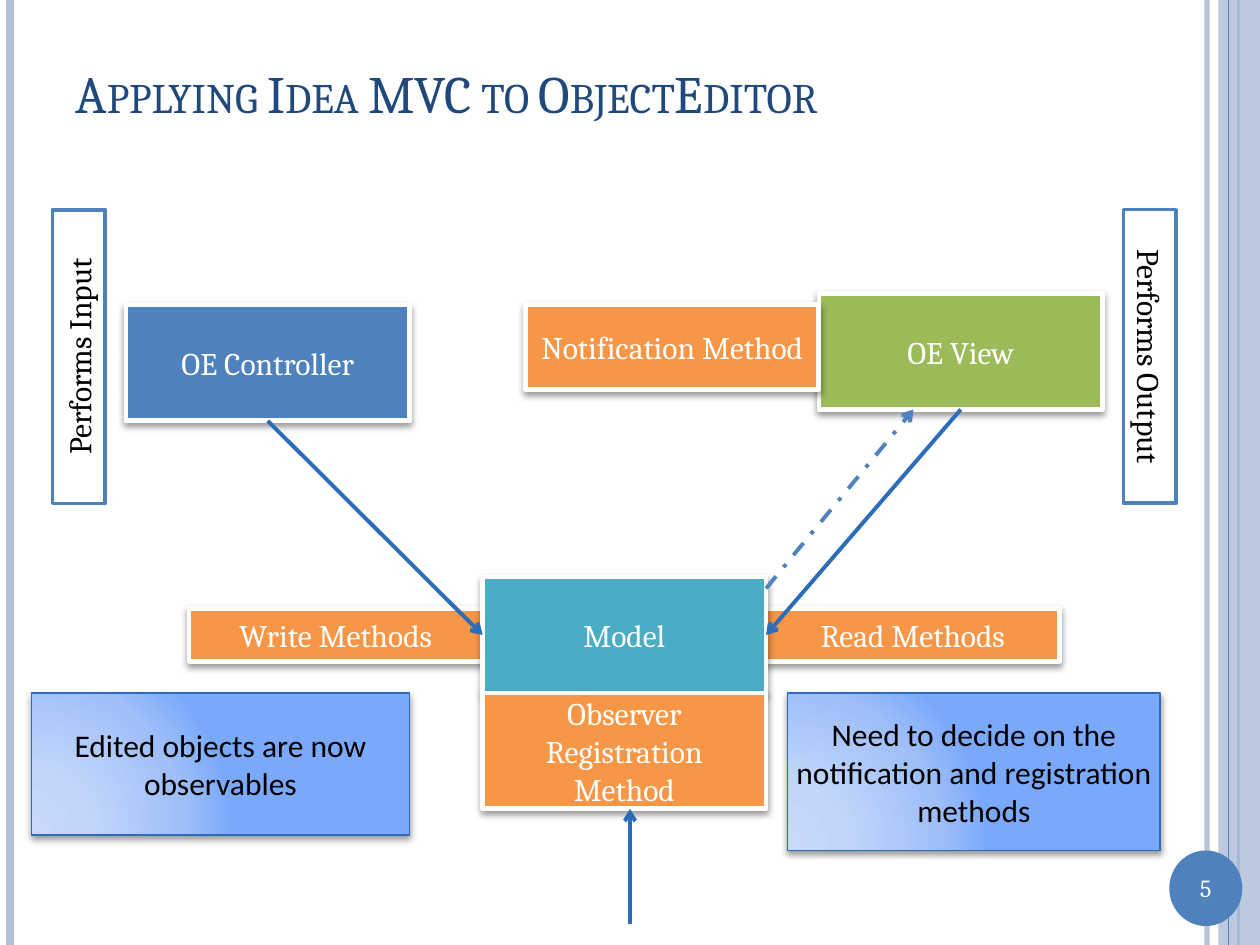
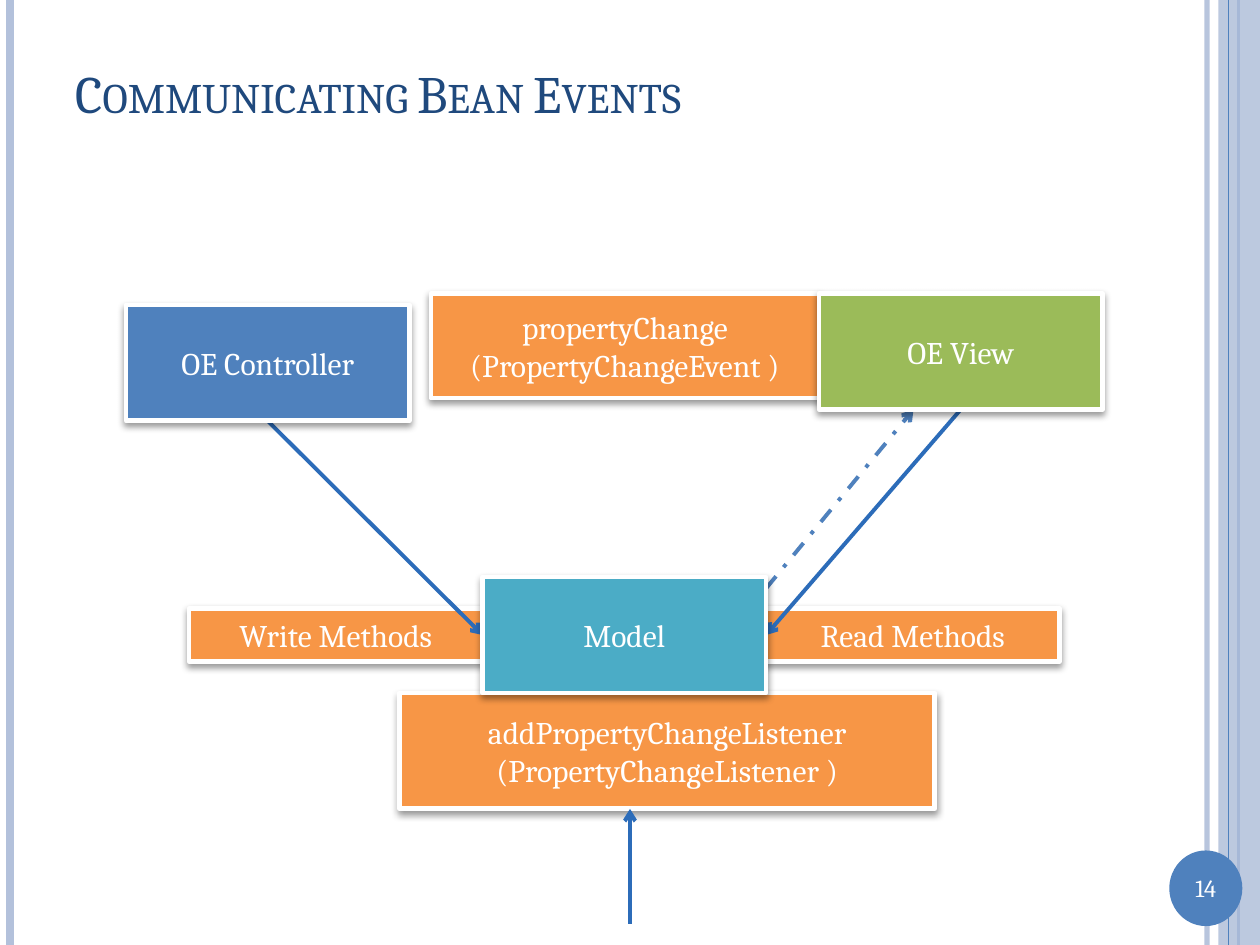
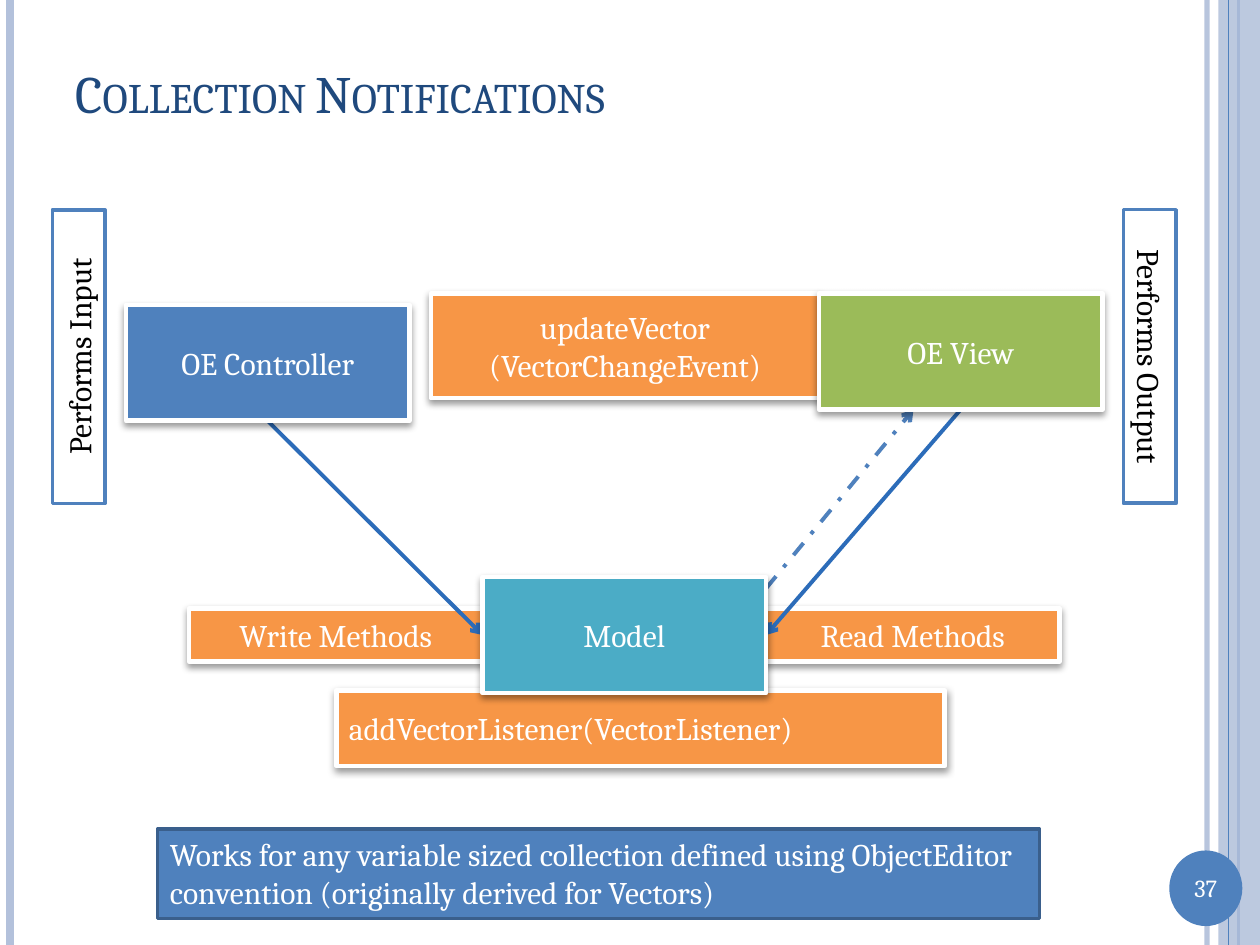
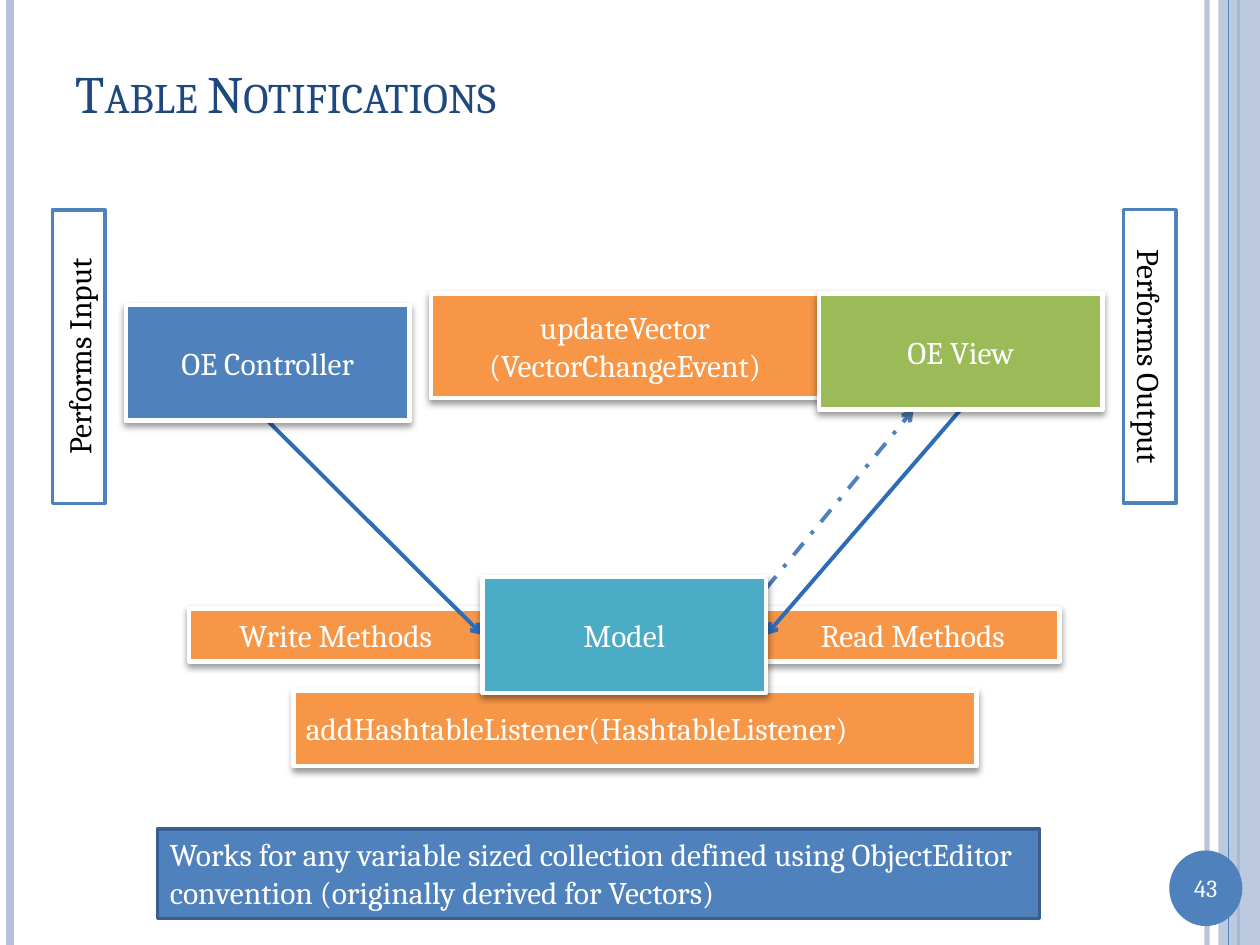
import dataclasses

import lxml.etree
import pptx
import pptx.dml.color
import pptx.enum.dml
import pptx.enum.shapes
import pptx.enum.text
import pptx.oxml.ns
import pptx.util

Inches = pptx.util.Inches
Pt = pptx.util.Pt
qn = pptx.oxml.ns.qn
MSO_SHAPE = pptx.enum.shapes.MSO_SHAPE
ALIGN = pptx.enum.text.PP_ALIGN
ANCHOR = pptx.enum.text.MSO_ANCHOR
AUTO_SIZE = pptx.enum.text.MSO_AUTO_SIZE
DASH_DOT = pptx.enum.dml.MSO_LINE.DASH_DOT
TOP, LEFT, BOTTOM, RIGHT = range(4)


@dataclasses.dataclass(frozen=True)
class Theme:
    white: str = "FFFFFF"
    black: str = "000000"
    title: str = "1F497D"
    blue: str = "4F81BD"
    blue_edge: str = "3A5F8C"
    arrow: str = "2C6CB9"
    band: str = "B3C1DB"
    green: str = "9BBB59"
    teal: str = "4BACC6"
    orange: str = "F79646"
    note_stops: tuple = ((0, "C7D8FB"), (30, "C1D5FA"), (75, "9FBFF9"), (100, "7AA9FB"))
    font: str = "Cambria"
    note_font: str = "Calibri"
    title_size: int = 30
    body_size: int = 18
    number_size: int = 14


def rgb(color):
    return pptx.dml.color.RGBColor.from_string(color)


def add_xml(parent, tag, **attrs):
    return lxml.etree.SubElement(parent, qn(tag), {k: str(v) for k, v in attrs.items()})


def set_opacity(element, percent):
    add_xml(next(element.iter(qn("a:srgbClr"))), "a:alpha", val=percent * 1000)


class Deck:
    def __init__(self, theme):
        self.theme = theme
        self.prs = pptx.Presentation()
        self.prs.slide_width = Inches(10)
        self.prs.slide_height = Inches(7.5)
        self.s = None

    def new_slide(self, title, number):
        t = self.theme
        self.s = self.prs.slides.add_slide(self.prs.slide_layouts[6])
        edge = self.line((9.58, 0), (9.58, 7.5), t.band, 3)
        set_opacity(edge.line._ln, 93)
        self.line((0.08, 0), (0.08, 7.5), t.band, 4.5)
        self.line((9.83, 0), (9.83, 7.5), t.blue, 1.5)
        band = self.shape((9.67, 0, 0.33, 7.5), t.band)
        set_opacity(band._element.spPr, 87)
        self.line((9.75, 0), (9.75, 7.5), t.blue, 0.75)
        self.shape((9.28, 6.75, 0.58, 0.6), t.blue, kind=MSO_SHAPE.OVAL)
        sp = self.text_box((9.28, 6.88, 0.58, 0.34), str(number), t.number_size, t.white, ALIGN.CENTER)
        sp.text_frame.auto_size = AUTO_SIZE.SHAPE_TO_FIT_TEXT
        sp = self.text_box((0.5, 0.3, 8.67, 0.87), title, t.title_size, t.title)
        sp.text_frame.vertical_anchor = ANCHOR.MIDDLE
        p = sp.text_frame.paragraphs[0]
        p._p.pPr.find(qn("a:defRPr")).set("cap", "small")

    def set_text(self, sp, text, size, color, align=ALIGN.LEFT, font=None):
        tf = sp.text_frame
        tf.word_wrap = True
        p = tf.paragraphs[0]
        p.text = text
        p.alignment = align
        p.font.size = Pt(size)
        p.font.name = font or self.theme.font
        p.font.color.rgb = rgb(color)

    def text_box(self, box, text, size, color, align=ALIGN.LEFT):
        sp = self.s.shapes.add_textbox(*map(Inches, box))
        self.set_text(sp, text, size, color, align)
        return sp

    def shape(self, box, fill, line=None, width=1, kind=MSO_SHAPE.RECTANGLE):
        sp = self.s.shapes.add_shape(kind, *map(Inches, box))
        sp.shadow.inherit = False
        sp.fill.solid()
        sp.fill.fore_color.rgb = rgb(fill)
        if line:
            sp.line.color.rgb = rgb(line)
            sp.line.width = Pt(width)
        else:
            sp.line.fill.background()
        return sp

    def drop_shadow(self, sp):
        effects = sp._element.spPr.find(qn("a:effectLst"))
        shadow = add_xml(effects, "a:outerShdw", blurRad=Pt(4), dist=Pt(2), dir=5400000, rotWithShape=0)
        color = add_xml(shadow, "a:srgbClr", val=self.theme.black)
        add_xml(color, "a:alpha", val=40000)

    def block(self, box, text, fill, align=ALIGN.CENTER):
        t = self.theme
        sp = self.shape(box, fill, t.white, 2.75)
        self.drop_shadow(sp)
        self.set_text(sp, text, t.body_size, t.white, align)
        sp.text_frame.vertical_anchor = ANCHOR.MIDDLE
        return sp

    def side_label(self, box, text, rotation):
        t = self.theme
        sp = self.shape(box, t.white, t.blue, 2)
        sp.rotation = rotation
        self.set_text(sp, text, t.body_size, t.black, ALIGN.CENTER)

    def note(self, box, text):
        t = self.theme
        sp = self.shape(box, t.white, t.arrow, 1)
        sp.fill.gradient()
        grad = sp._element.spPr.find(qn("a:gradFill"))
        grad.clear()
        stops = add_xml(grad, "a:gsLst")
        for position, color in t.note_stops:
            add_xml(add_xml(stops, "a:gs", pos=position * 1000), "a:srgbClr", val=color)
        circle = add_xml(grad, "a:path", path="circle")
        add_xml(circle, "a:fillToRect", l=5000, t=100000, r=120000, b=10000)
        self.drop_shadow(sp)
        self.set_text(sp, text, t.body_size, t.black, ALIGN.CENTER, t.note_font)
        tf = sp.text_frame
        tf.margin_left = tf.margin_right = tf.margin_top = tf.margin_bottom = Inches(0.05)

    def banner(self, box, text):
        t = self.theme
        sp = self.shape(box, t.blue, t.blue_edge, 2)
        self.set_text(sp, text, t.body_size, t.white)
        sp.text_frame.vertical_anchor = ANCHOR.TOP
        sp.text_frame.auto_size = AUTO_SIZE.SHAPE_TO_FIT_TEXT

    def line(self, start, end, color, width):
        cx = self.s.shapes.add_connector(
            pptx.enum.shapes.MSO_CONNECTOR.STRAIGHT, *map(Inches, start + end))
        cx.line.color.rgb = rgb(color)
        cx.line.width = Pt(width)
        add_xml(cx._element.spPr, "a:effectLst")
        return cx

    def arrow(self, start, end, color=None, dash=None):
        cx = self.line(start, end, color or self.theme.arrow, 2.25)
        if dash:
            cx.line.dash_style = dash
        add_xml(cx.line._ln, "a:tailEnd", type="arrow")
        return cx

    def join(self, source, source_side, target, target_side):
        cx = self.arrow((0, 0), (1, 1))
        cx.begin_connect(source, source_side)
        cx.end_connect(target, target_side)

    def bring_to_front(self, shapes):
        for sp in shapes:
            self.s.shapes._spTree.append(sp._element)

    def mvc_diagram(self, notification, registration, labelled=True, updates=True):
        t = self.theme
        self.block((6.08, 4.83, 2.33, 0.42), "Read Methods", t.orange)
        self.block((1.5, 4.83, 2.33, 0.42), "Write Methods", t.orange)
        model = self.block((3.83, 4.58, 2.25, 0.92), "Model", t.teal)
        view = self.block((6.5, 2.33, 2.25, 0.92), "OE View", t.green)
        controller = self.block((1, 2.42, 2.25, 0.92), "OE Controller", t.blue)
        self.join(view, BOTTOM, model, RIGHT)
        self.join(controller, BOTTOM, model, LEFT)
        if labelled:
            self.side_label((-0.54, 2.62, 2.33, 0.42), "Performs Input", 270)
            self.side_label((7.96, 2.62, 2.33, 0.42), "Performs Output", 90)
        self.arrow((6.08, 4.67), (7.25, 3.25), t.blue, DASH_DOT)
        self.block(*notification, t.orange)
        self.block(*registration[:2], t.orange, *registration[2:])
        if updates:
            self.arrow((5, 7.33), (5, 6.42))
        return model, view, controller


def idea_slide(deck):
    deck.new_slide("Applying Idea MVC to ObjectEditor", 5)
    deck.mvc_diagram(
        ((4.17, 2.42, 2.33, 0.67), "Notification Method"),
        ((3.83, 5.5, 2.25, 0.92), "Observer Registration Method"))
    deck.note((0.25, 5.5, 3, 1.13), "Edited objects are now observables")
    deck.note((6.25, 5.5, 2.96, 1.25),
              "Need to decide on the notification and registration methods")


EVENT_BOX = (3.42, 2.33, 3.08, 0.83)


def bean_slide(deck):
    deck.new_slide("Communicating Bean Events", 14)
    parts = deck.mvc_diagram(
        (EVENT_BOX, "propertyChange (PropertyChangeEvent )"),
        ((3.17, 5.5, 4.25, 0.92), "addPropertyChangeListener (PropertyChangeListener )"),
        labelled=False)
    deck.bring_to_front(parts)


def listener_slide(deck, title, number, left, width, method):
    deck.new_slide(title, number)
    deck.banner((1.25, 6.58, 7, 0.71),
                "Works for any variable sized collection defined using ObjectEditor "
                "convention (originally derived for Vectors)")
    parts = deck.mvc_diagram(
        (EVENT_BOX, "updateVector (VectorChangeEvent)"),
        ((left, 5.48, width, 0.6), method, ALIGN.LEFT),
        updates=False)
    deck.bring_to_front(parts)


def main():
    deck = Deck(Theme())
    idea_slide(deck)
    bean_slide(deck)
    listener_slide(deck, "Collection Notifications", 37, 2.67, 4.83,
                   "addVectorListener(VectorListener)")
    listener_slide(deck, "Table Notifications", 43, 2.33, 5.42,
                   "addHashtableListener(HashtableListener)")
    deck.prs.save("out.pptx")


if __name__ == "__main__":
    main()
